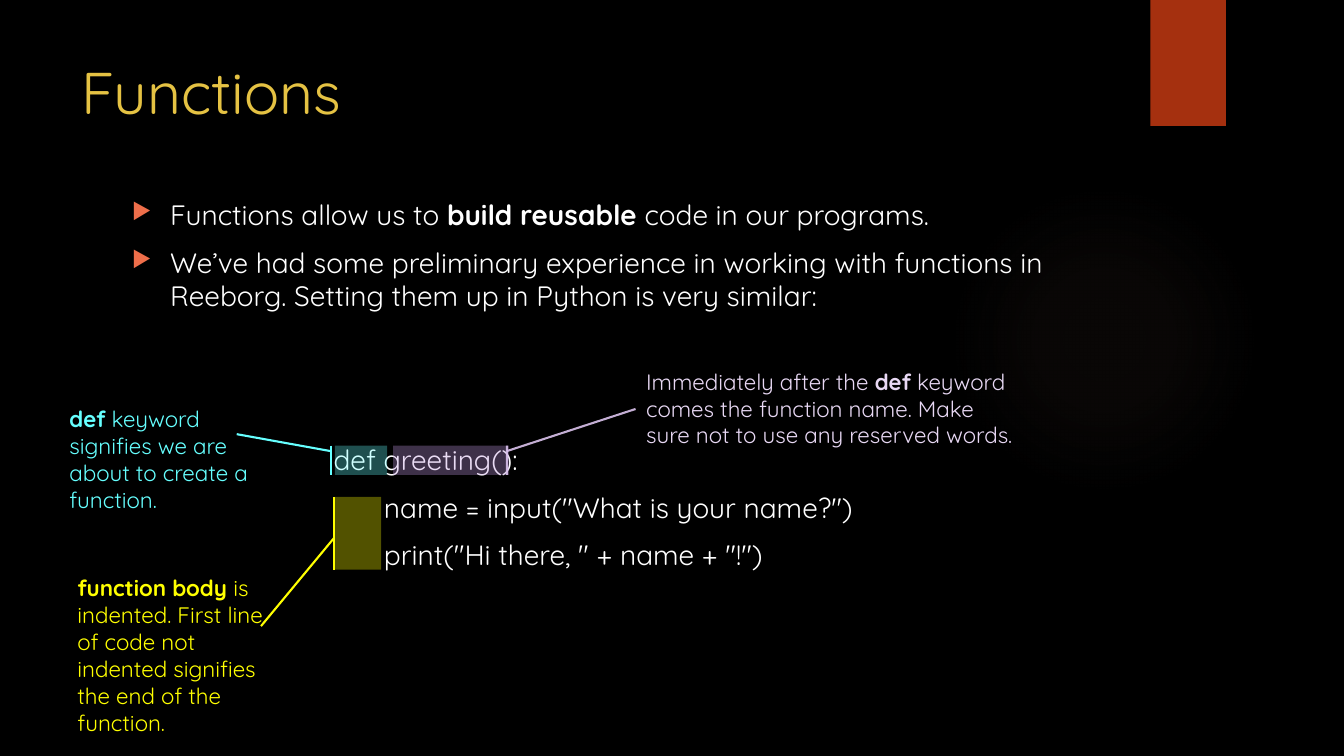
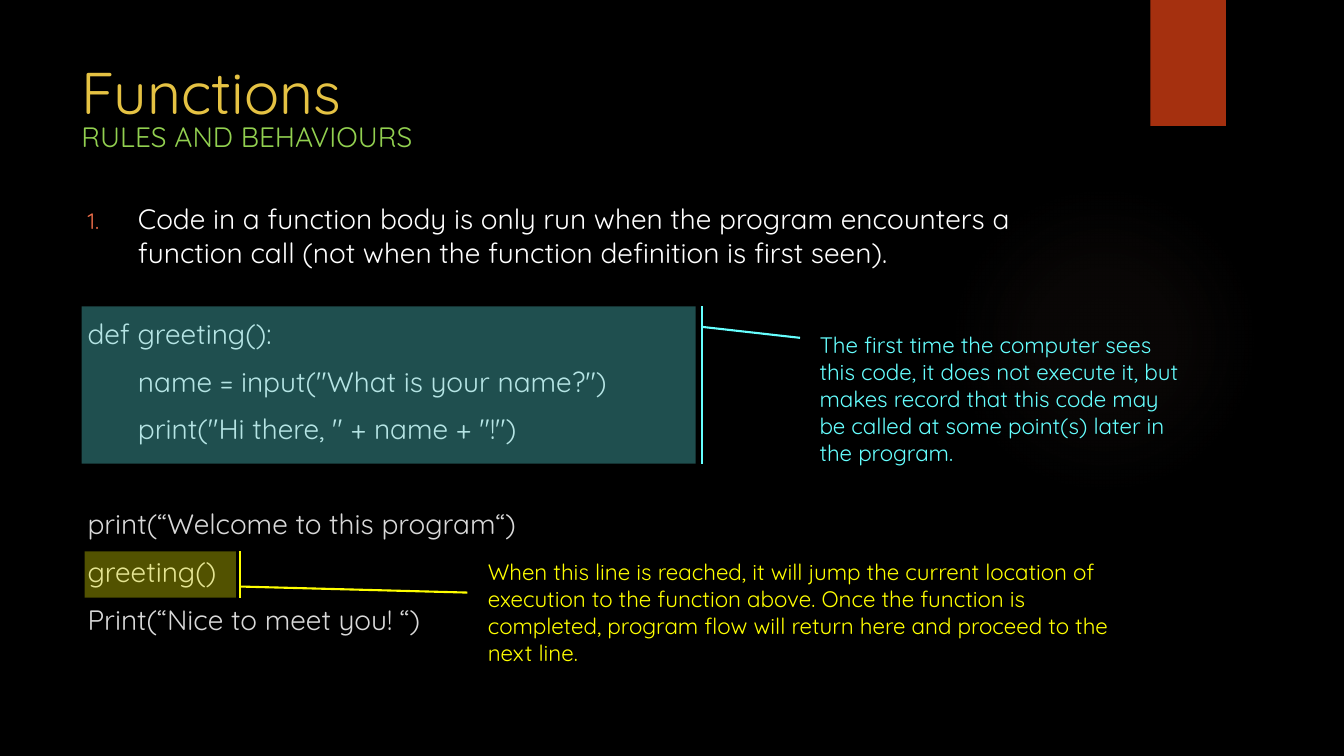
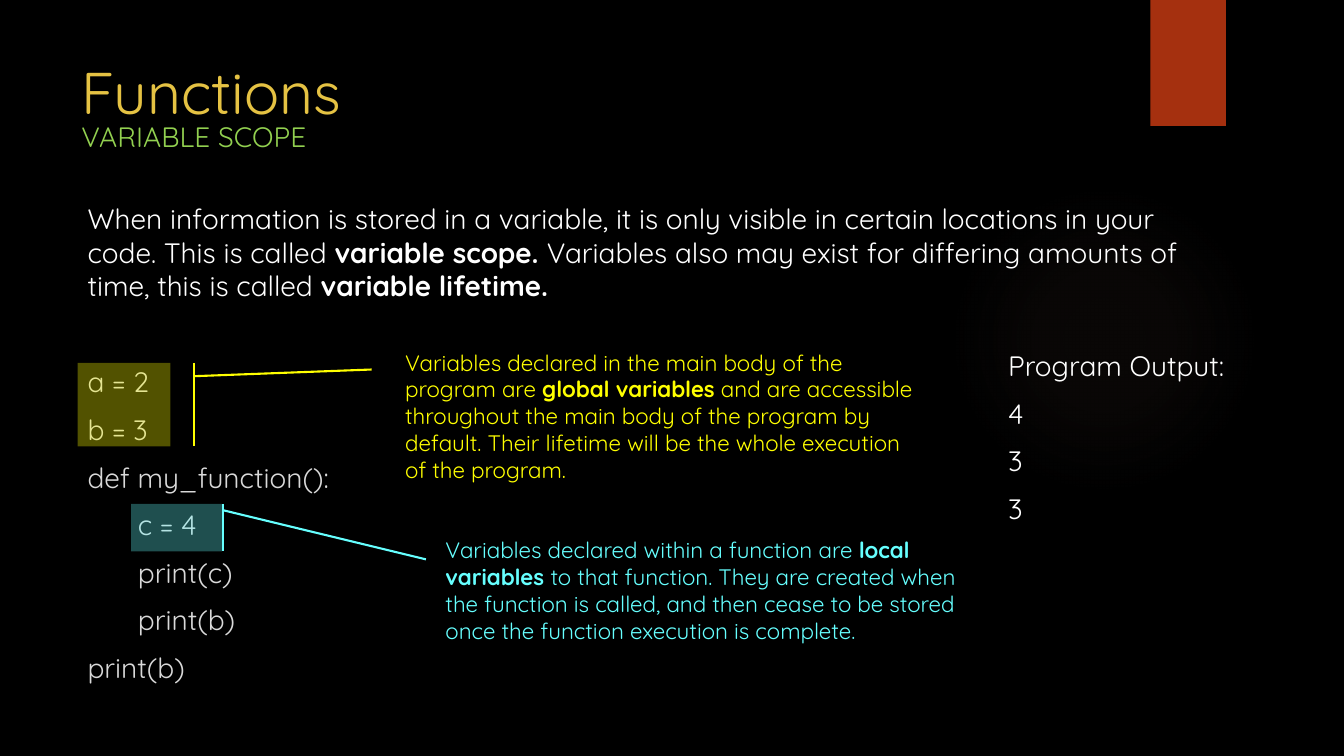
from lxml import etree
from pptx import Presentation
from pptx.dml.color import RGBColor
from pptx.enum import shapes
from pptx.oxml import ns, parse_xml
from pptx.util import Inches, Pt

FONT = "Quicksand"
BLACK, WHITE, CODE_GREY = "000000", "FFFFFF", "D9D9D9"
GOLD, GREEN, RUST, ORANGE = "E5C243", "92D050", "A5300F", "EE6E4A"
CYAN, YELLOW = "66FFFF", "FFFF00"
PURPLE, LILAC, PALE_LILAC = "BF95DF", "DAC2EC", "E8D8F4"
GLOW, GLOW_STOPS = "7F5F52", ((0, 7), (36, 6), (69, 0))
ARROW = ("buChar", {"char": "▶"}, 0.38)
NUMBER = ("buAutoNum", {"type": "arabicPeriod"}, 0.5)
CODE_INDENT = 0.5


def color(value):
    return RGBColor.from_string(value)


def add_child(parent, tag, **attributes):
    return etree.SubElement(parent, ns.qn(f"a:{tag}"), attributes)


def paint(fill, value, opacity=100):
    fill.solid()
    fill.fore_color.rgb = color(value)
    if opacity < 100:
        solid = fill._xPr.find(ns.qn("a:solidFill"))
        add_child(solid[0], "alpha", val=str(opacity * 1000))


def add_shape(page, kind, at):
    shape = page.shapes.add_shape(kind, *map(Inches, at))
    shape.shadow.inherit = False
    return shape


def add_glow(page):
    glow = add_shape(page, shapes.MSO_SHAPE.OVAL, (9.41, 1.83, 3.08, 3.08))
    glow.line.fill.background()
    glow.fill.background()
    stops = "".join(
        f'<a:gs pos="{place * 1000}"><a:srgbClr val="{GLOW}">'
        f'<a:alpha val="{opacity * 1000}"/></a:srgbClr></a:gs>'
        for place, opacity in GLOW_STOPS)
    gradient = parse_xml(
        f'<a:gradFill {ns.nsdecls("a")}><a:gsLst>{stops}</a:gsLst>'
        '<a:path path="circle"><a:fillToRect l="50000" t="50000" '
        'r="50000" b="50000"/></a:path></a:gradFill>')
    properties = glow._element.spPr
    properties.replace(properties.find(ns.qn("a:noFill")), gradient)


def set_bullet(para, bullet):
    tag, attributes, indent = bullet
    properties = para._p.get_or_add_pPr()
    properties.set("marL", str(Inches(indent)))
    properties.set("indent", str(-Inches(indent)))
    add_child(add_child(properties, "buClr"), "srgbClr", val=ORANGE)
    add_child(properties, "buSzPct", val="80000")
    add_child(properties, tag, **attributes)


def add_text(page, at, lines, size, hue, bullet=None):
    box = page.shapes.add_textbox(*map(Inches, at))
    frame = box.text_frame
    frame.word_wrap = True
    for index, line in enumerate(lines):
        para = frame.add_paragraph() if index else frame.paragraphs[0]
        if index:
            para.space_before = Pt(10)
        if bullet:
            set_bullet(para, bullet)
        for part, words in enumerate(line.split("**")):
            if words:
                span = para.add_run()
                span.text = words
                span.font.name = FONT
                span.font.size = Pt(size)
                span.font.bold = part % 2 == 1
                span.font.color.rgb = color(hue)
    return box


def add_body(page, at, lines, hue=WHITE, bullet=None):
    return add_text(page, at, lines, 20, hue, bullet)


def add_code(page, at, lines, hue=CODE_GREY, indented=()):
    box = add_body(page, at, lines, hue)
    for index in indented:
        properties = box.text_frame.paragraphs[index]._p.get_or_add_pPr()
        properties.set("marL", str(Inches(CODE_INDENT)))
        properties.set("indent", "0")


def add_note(page, at, words, hue):
    add_text(page, at, [words], 16, hue)


def add_callout(page, at, leader, hue, opacity, line=None, line_opacity=100):
    kind = shapes.MSO_SHAPE.LINE_CALLOUT_1_ACCENT_BAR
    callout = add_shape(page, kind, at)
    for index, value in enumerate(leader):
        callout.adjustments[index] = value
    paint(callout.fill, hue, opacity)
    paint(callout.line.fill, line or hue, line_opacity)
    callout.line.width = Pt(1.5)


def add_page(deck, subtitle=None):
    page = deck.slides.add_slide(deck.slide_layouts[6])
    paint(page.background.fill, BLACK)
    add_glow(page)
    tab = add_shape(page, shapes.MSO_SHAPE.RECTANGLE, (11.41, 0, 0.75, 1.25))
    paint(tab.fill, RUST)
    tab.line.fill.background()
    add_text(page, (0.71, 0.5, 10.29, 0.82), ["Functions"], 42, GOLD)
    if subtitle:
        add_body(page, (0.71, 1.14, 9.65, 0.5), [subtitle], GREEN)
    return page


def build_definition(deck):
    page = add_page(deck)
    add_body(page, (1.21, 1.91, 9.78, 1.3), [
        "Functions allow us to **build reusable** code in our programs.",
        "We’ve had some preliminary experience in working with functions in "
        "Reeborg. Setting them up in Python is very similar:",
    ], bullet=ARROW)
    add_code(page, (3.21, 4.34, 7.78, 1.4), [
        "def greeting():",
        'name = input("What is your name?")',
        'print("Hi there, " + name + "!")',
    ], WHITE, indented=(1, 2))
    add_callout(page, (3.32, 4.42, 0.52, 0.29),
                (0.19, -0.08, -0.39, -1.87), CYAN, 31)
    add_callout(page, (3.9, 4.42, 1.15, 0.29),
                (0.19, 0.98, -1.25, 2.09), PURPLE, 33, LILAC, 89)
    add_callout(page, (3.32, 4.93, 0.46, 0.72),
                (0.57, -0.02, 1.78, -1.59), YELLOW, 32)
    add_note(page, (0.59, 3.97, 2.07, 1.18),
             "**def** keyword signifies we are about to create a function.",
             CYAN)
    add_note(page, (0.67, 5.65, 2.07, 1.72),
             "**function body **is indented. First line of code not indented "
             "signifies the end of the function.", YELLOW)
    add_note(page, (6.31, 3.6, 3.93, 0.9),
             "Immediately after the **def** keyword comes the function name. "
             "Make sure not to use any reserved words.", PALE_LILAC)


def build_rules(deck):
    page = add_page(deck, "RULES AND BEHAVIOURS")
    add_body(page, (0.77, 1.95, 9.78, 0.8), [
        "Code in a function body is only run when the program encounters a "
        "function call (not when the function definition is first seen).",
    ], bullet=NUMBER)
    add_code(page, (0.77, 3.09, 6.1, 1.4), [
        "def greeting():",
        'name = input("What is your name?")',
        'print("Hi there, " + name + "!")',
    ], indented=(1, 2))
    add_code(page, (0.77, 4.98, 6.1, 1.4), [
        "print(“Welcome to this program“)",
        "greeting()",
        "Print(“Nice to meet you! “)",
    ])
    add_callout(page, (0.81, 3.04, 6.09, 1.56),
                (0.13, 1.01, 0.2, 1.17), CYAN, 31)
    add_callout(page, (0.84, 5.47, 1.5, 0.46),
                (0.76, 1.03, 0.89, 2.53), YELLOW, 32)
    add_note(page, (8.03, 3.24, 3.77, 1.45),
             "The first time the computer sees this code, it does not execute "
             "it, but makes record that this code may be called at some "
             "point(s) later in the program.", CYAN)
    add_note(page, (4.74, 5.49, 6.53, 1.18),
             "When this line is reached, it will jump the current location of "
             "execution to the function above. Once the function is "
             "completed, program flow will return here and proceed to the "
             "next line.", YELLOW)


def build_scope(deck):
    page = add_page(deck, "VARIABLE SCOPE")
    add_body(page, (0.77, 1.95, 11.53, 1.1), [
        "When information is stored in a variable, it is only visible in "
        "certain locations in your code. This is called **variable scope. **"
        "Variables also may exist for differing amounts of time, this is "
        "called **variable lifetime.**",
    ])
    add_code(page, (0.77, 3.57, 3, 3.3), [
        "a = 2",
        "b = 3",
        "def my_function():",
        "c = 4",
        "print(c)",
        "print(b)",
        "print(b)",
    ], indented=(3, 4, 5))
    add_callout(page, (1.3, 5, 0.9, 0.47),
                (0.13, 1.01, 1.17, 3.25), CYAN, 31)
    add_callout(page, (0.77, 3.6, 0.92, 0.83),
                (0.16, 1.25, 0.08, 3.17), YELLOW, 32)
    add_note(page, (4.32, 5.27, 5.36, 1.18),
             "Variables declared within a function are **local variables **to "
             "that function. They are created when the function is called, "
             "and then cease to be stored once the function execution is "
             "complete.", CYAN)
    add_note(page, (3.92, 3.41, 5.33, 1.45),
             "Variables declared in the main body of the program are **global "
             "variables** and are accessible throughout the main body of the "
             "program by default. Their lifetime will be the whole execution "
             "of the program.", YELLOW)
    add_body(page, (9.9, 3.41, 3.15, 1.9),
             ["Program Output:", "4", "3", "3"])


def main():
    deck = Presentation()
    deck.slide_width, deck.slide_height = Inches(13.33), Inches(7.5)
    build_definition(deck)
    build_rules(deck)
    build_scope(deck)
    deck.save("out.pptx")


if __name__ == "__main__":
    main()
